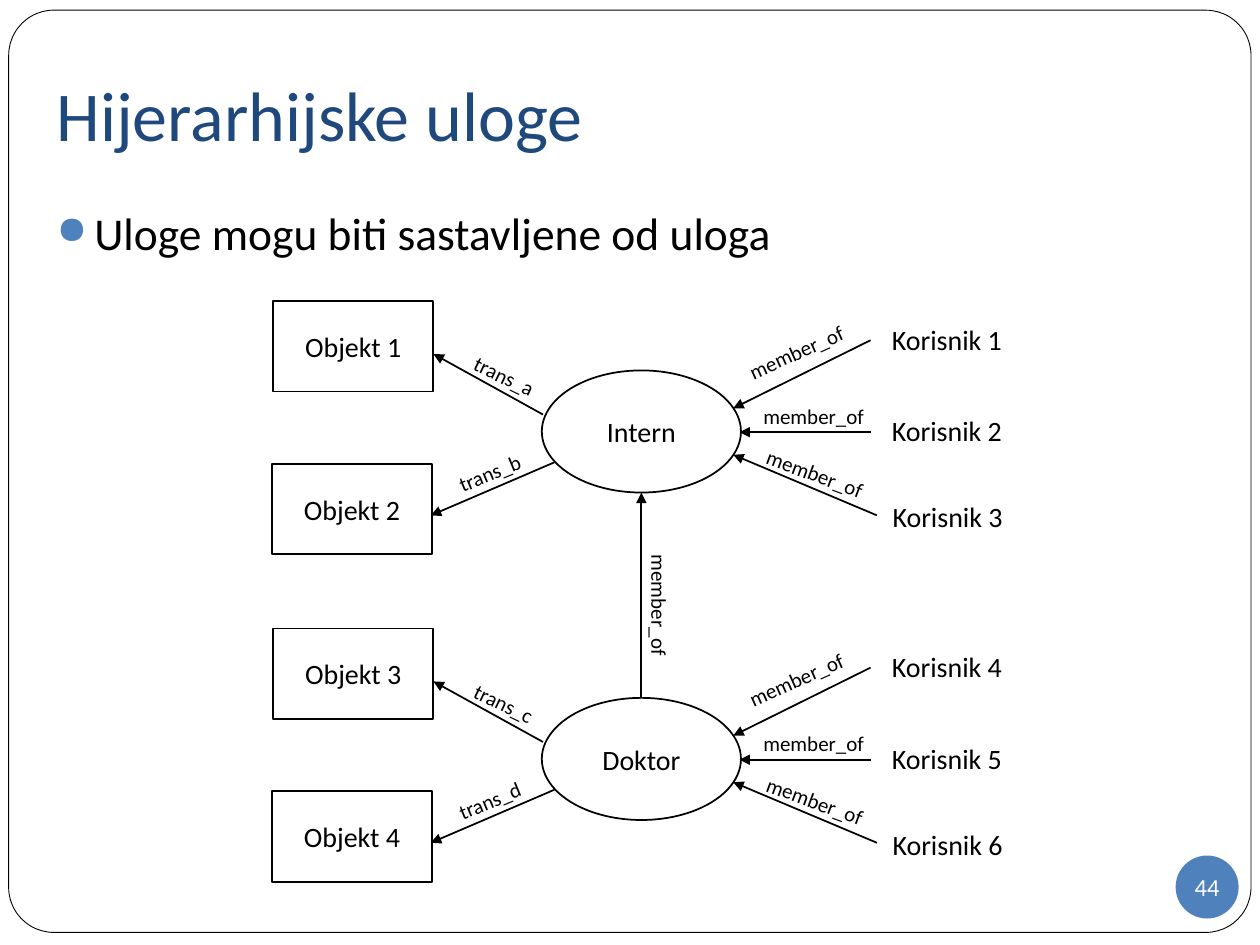
"""Builds the slide on hierarchical roles."""
from lxml.etree import SubElement
from pptx import Presentation
from pptx.dml.color import RGBColor
from pptx.enum.shapes import MSO_CONNECTOR as Connector, MSO_SHAPE as Shape
from pptx.enum.text import MSO_ANCHOR as Anchor, PP_ALIGN as Align
from pptx.oxml.ns import qn
from pptx.util import Pt

BLACK = RGBColor(0x00, 0x00, 0x00)
WHITE = RGBColor(0xFF, 0xFF, 0xFF)
NAVY = RGBColor(0x1F, 0x49, 0x7D)
BLUE = RGBColor(0x4F, 0x81, 0xBD)
FONT = "Calibri"

TITLE = "Hijerarhijske uloge"
BULLET = "Uloge mogu biti sastavljene od uloga"
PAGE_NUMBER = "44"
ROLES = [
    {"name": "Intern",
     "objects": ["Objekt 1", "Objekt 2"],
     "rights": ["trans_a", "trans_b"],
     "users": ["Korisnik 1", "Korisnik 2", "Korisnik 3"]},
    {"name": "Doktor",
     "objects": ["Objekt 3", "Objekt 4"],
     "rights": ["trans_c", "trans_d"],
     "users": ["Korisnik 4", "Korisnik 5", "Korisnik 6"]},
]
MEMBER = "member_of"

ROLE_STEP = 187.1
NODE_SIZE = (91.4, 51.8)
ROLE_BOX = (309.6, 211.7, 113.8, 69.8)
OBJECT_SPOTS = [(156.2, 172), (155.5, 265)]
USER_SPOTS = [(495.4, 167.8), (495.4, 220.1), (495.8, 269.3)]
RIGHT_ARROWS = [(310.3, 236.9, 247.7, 202.3), (316.8, 264.2, 246.2, 294.5)]
USER_ARROWS = [(497.5, 194.4, 419, 233.3), (497.5, 247, 422.6, 247),
               (501.1, 294.5, 419, 259.9)]
RIGHT_LABELS = [(262.8, 204.5, 25.6), (254.2, 259.2, -22.3)]
USER_LABELS = [(419, 190.1, -24.2), (429.1, 226.8, 0), (429.8, 259.9, 20.3)]
LABEL_HEIGHT, MEMBER_WIDTH, RIGHT_WIDTH = 21.6, 72.7, 52.6


def write(shape, text, size, color=BLACK, align=Align.CENTER,
          anchor=Anchor.MIDDLE, wrap=False):
    frame = shape.text_frame
    frame.word_wrap = wrap
    frame.vertical_anchor = anchor
    para = frame.paragraphs[0]
    para.alignment = align
    span = para.add_run()
    span.text = text
    span.font.name = FONT
    span.font.size = Pt(size)
    span.font.color.rgb = color
    return para


def add_figure(page, kind, box, fill=None, line_width=None):
    figure = page.shapes.add_shape(kind, *map(Pt, box))
    figure.shadow.inherit = False
    if fill is None:
        figure.fill.background()
    else:
        figure.fill.solid()
        figure.fill.fore_color.rgb = fill
    if line_width is None:
        figure.line.fill.background()
    else:
        figure.line.color.rgb = BLACK
        figure.line.width = Pt(line_width)
    return figure


def add_text(page, box):
    return page.shapes.add_textbox(*map(Pt, box))


def add_arrow(page, ends):
    arrow = page.shapes.add_connector(Connector.STRAIGHT, *map(Pt, ends))
    arrow.line.color.rgb = BLACK
    arrow.line.width = Pt(1)
    SubElement(arrow.line._get_or_add_ln(), qn("a:tailEnd"),
               type="triangle", w="med", len="med")
    SubElement(arrow._element.spPr, qn("a:effectLst"))


def add_label(page, text, left, top, width, angle):
    label = add_text(page, (left, top, width, LABEL_HEIGHT))
    label.rotation = angle
    write(label, text, 12, align=Align.LEFT, anchor=Anchor.TOP)


def add_role(page, role, drop):
    for name, (left, top) in zip(role["objects"], OBJECT_SPOTS):
        box = (left, top + drop, *NODE_SIZE)
        write(add_figure(page, Shape.RECTANGLE, box, line_width=1), name, 16)
    left, top, width, height = ROLE_BOX
    oval = add_figure(page, Shape.OVAL, (left, top + drop, width, height),
                      line_width=1)
    write(oval, role["name"], 16)
    for name, (left, top) in zip(role["users"], USER_SPOTS):
        write(add_text(page, (left, top + drop, *NODE_SIZE)), name, 16)
    for x1, y1, x2, y2 in USER_ARROWS + RIGHT_ARROWS:
        add_arrow(page, (x1, y1 + drop, x2, y2 + drop))
    for left, top, angle in USER_LABELS:
        add_label(page, MEMBER, left, top + drop, MEMBER_WIDTH, angle)
    for text, (left, top, angle) in zip(role["rights"], RIGHT_LABELS):
        add_label(page, text, left, top + drop, RIGHT_WIDTH, angle)


def add_heading(page):
    title = page.shapes.title
    title.left, title.top, title.width, title.height = map(
        Pt, (25.2, 21.6, 674.6, 90))
    write(title, TITLE, 40, NAVY, Align.LEFT, wrap=True)
    title.text_frame.margin_bottom = Pt(7.2)
    border = add_figure(page, Shape.ROUNDED_RECTANGLE,
                        (5, 5.8, 709.9, 527), WHITE, 0.5)
    border.adjustments[0] = 0.049
    page.shapes._spTree.insert(2, border._element)


def add_bullet(page):
    body = add_text(page, (25.2, 113.8, 680.4, 405.4))
    para = write(body, BULLET, 26, align=Align.LEFT, anchor=Anchor.TOP,
                 wrap=True)
    para.space_before = Pt(5.8)
    props = para._p.get_or_add_pPr()
    props.set("marL", str(Pt(21.6)))
    props.set("indent", str(-Pt(21.6)))
    color = SubElement(props, qn("a:buClr"))
    SubElement(color, qn("a:srgbClr"), val=str(BLUE))
    SubElement(props, qn("a:buSzPct"), val="85000")
    SubElement(props, qn("a:buChar"), char="●")


def add_page_number(page):
    badge = add_figure(page, Shape.OVAL, (671.8, 488.9, 36, 36), BLUE)
    write(badge, PAGE_NUMBER, 14, WHITE)
    frame = badge.text_frame
    frame.margin_left = frame.margin_right = Pt(0)
    frame.margin_top = frame.margin_bottom = Pt(0)


def main():
    deck = Presentation()
    deck.slide_width, deck.slide_height = Pt(720), Pt(540)
    page = deck.slides.add_slide(deck.slide_layouts[5])
    add_heading(page)
    add_bullet(page)
    add_page_number(page)
    for index, role in enumerate(ROLES):
        add_role(page, role, index * ROLE_STEP)
    left, top, width, height = ROLE_BOX
    middle = left + width / 2
    add_arrow(page, (middle, top + ROLE_STEP, middle, top + height))
    add_label(page, MEMBER, 340.6, 335.5, MEMBER_WIDTH, 90)
    deck.save("out.pptx")


if __name__ == "__main__":
    main()
